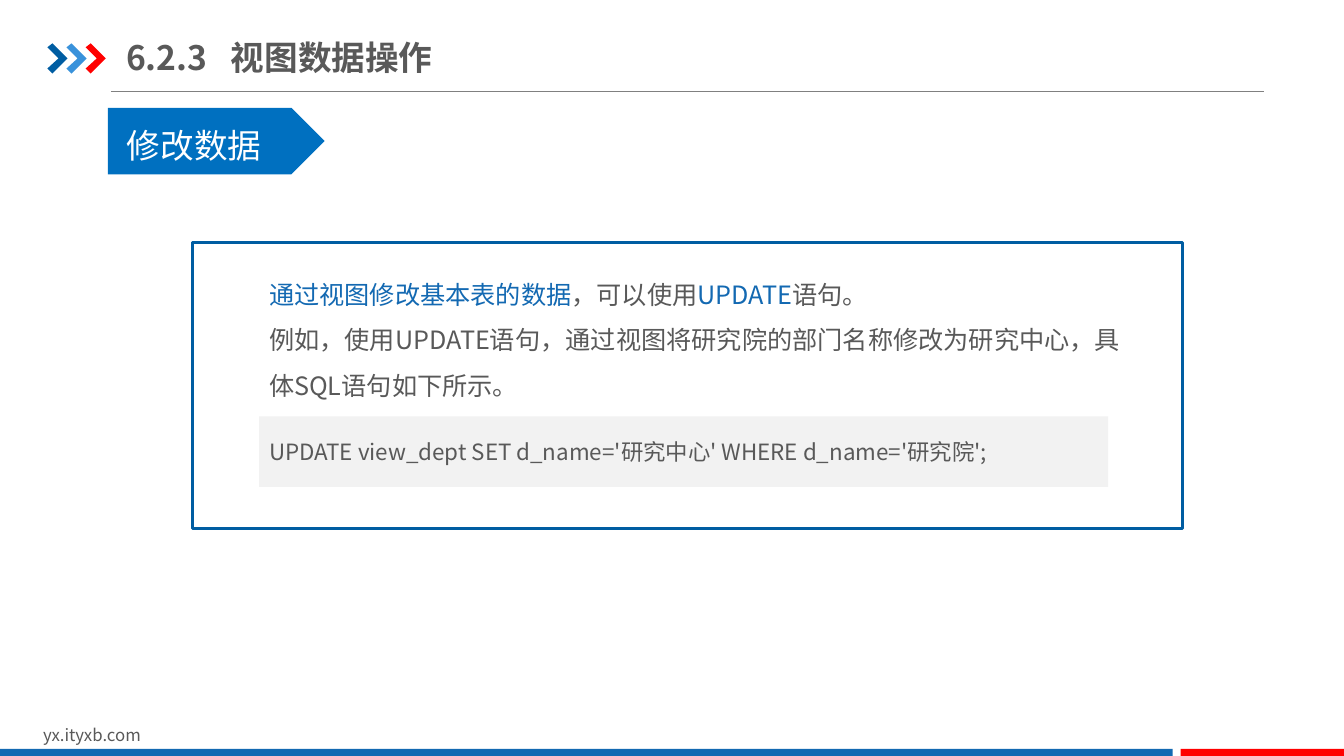
from lxml.etree import SubElement
from pptx import Presentation
from pptx.dml.color import RGBColor
from pptx.enum.shapes import MSO_CONNECTOR, MSO_SHAPE as SHAPE
from pptx.enum.text import MSO_ANCHOR as ANCHOR, MSO_AUTO_SIZE as AUTO, PP_ALIGN as ALIGN
from pptx.oxml.ns import qn
from pptx.util import Pt

PX = 9144
FONT = "Noto Sans CJK SC"
NAVY = RGBColor(0x00, 0x5D, 0xA2)
SKY = RGBColor(0x39, 0x92, 0xDB)
RED = RGBColor(0xFF, 0x00, 0x00)
BLUE = RGBColor(0x13, 0x69, 0xB2)
TAG_BLUE = RGBColor(0x00, 0x70, 0xC0)
TEXT = RGBColor(0x59, 0x59, 0x59)
RULE = RGBColor(0x80, 0x80, 0x80)
PALE = RGBColor(0xF2, 0xF2, 0xF2)
WHITE = RGBColor(0xFF, 0xFF, 0xFF)


def px(*lengths):
    """Turn pixel lengths into EMU."""
    return [n * PX for n in lengths]


def style(p, size, color, bold=False):
    """Format a whole paragraph, East Asian glyphs included."""
    p.alignment = ALIGN.LEFT
    f = p.font
    f.size, f.bold, f.name = Pt(size), bold, FONT
    f.color.rgb = color
    props = p._p.get_or_add_pPr().find(qn("a:defRPr"))
    SubElement(props, qn("a:ea"), typeface=FONT)


def paint(sp, fill, line=None):
    """Give a shape a flat fill and an optional 2 pt outline."""
    sp.shadow.inherit = False
    sp.fill.solid()
    sp.fill.fore_color.rgb = fill
    if line is None:
        sp.line.fill.background()
    else:
        sp.line.color.rgb = line
        sp.line.width = Pt(2)


def add_block(s, kind, box, fill, line=None):
    """Add a painted preset shape."""
    sp = s.shapes.add_shape(kind, *px(*box))
    paint(sp, fill, line)
    return sp


def add_text(s, box, paragraphs, size, color, spacing=None):
    """Add a wrapping text box; each paragraph is a list of (text, colour) runs."""
    tf = s.shapes.add_textbox(*px(*box)).text_frame
    tf.word_wrap = True
    for i, runs in enumerate(paragraphs):
        p = tf.add_paragraph() if i else tf.paragraphs[0]
        p.line_spacing = spacing
        style(p, size, color)
        for text, run_color in runs:
            r = p.add_run()
            r.text = text
            if run_color != color:
                r.font.color.rgb = run_color


def add_chevron(s, x, y, color):
    """Draw one arrow mark of 20 by 30 px."""
    outline = [(0, 4), (5, 0), (20, 15), (5, 30), (0, 25), (11, 15)]
    points = [(x + dx, y + dy) for dx, dy in outline]
    builder = s.shapes.build_freeform(*points[0], scale=PX)
    builder.add_line_segments(points[1:], close=True)
    paint(builder.convert_to_shape(), color)


def add_header(s, x, y, w, h):
    """Place the arrow marks, the title and the rule below them."""
    for i, color in enumerate((NAVY, SKY, RED)):
        add_chevron(s, x + 19 * i, y + 14, color)
    rule = s.shapes.add_connector(
        MSO_CONNECTOR.STRAIGHT, *px(x + 63, y + h, x + w, y + h))
    rule.line.color.rgb = RULE
    rule.line.width = Pt(0.75)
    SubElement(rule._element.spPr, qn("a:effectLst"))

    title = s.shapes.title
    title.left, title.top, title.width, title.height = px(x + 78, y, 464, 55)
    tf = title.text_frame
    tf.auto_size, tf.word_wrap = AUTO.NONE, True
    tf.vertical_anchor = ANCHOR.MIDDLE
    tf.margin_left = tf.margin_right = 0
    tf.text = "6.2.3\t视图数据操作"
    p = tf.paragraphs[0]
    tabs = SubElement(p._p.get_or_add_pPr(), qn("a:tabLst"))
    SubElement(tabs, qn("a:tab"), pos=str(104 * PX), algn="l")
    style(p, 24, TEXT, bold=True)


def add_tag(s, x, y, w, h):
    """Place the arrow-shaped section label."""
    add_block(s, SHAPE.PENTAGON, (x, y, w, h), TAG_BLUE)
    add_text(s, (x + 9, y - 8, w - 16, h + 5), [[("修改数据", WHITE)]], 24, WHITE, 1.5)


def add_panel(s, x, y, w, h):
    """Place the framed explanation with its SQL statement."""
    add_block(s, SHAPE.FLOWCHART_PROCESS, (x, y, w, h), WHITE, NAVY)
    add_text(s, (x + 66, y + 16, 865, 146), [
        [("通过视图修改基本表的数据", BLUE), ("，可以使用", TEXT),
         ("UPDATE", BLUE), ("语句。", TEXT)],
        [("例如，使用UPDATE语句，通过视图将研究院的部门名称修改为研究中心，"
          "具体SQL语句如下所示。", TEXT)],
    ], 18, TEXT, 1.5)
    code = add_block(s, SHAPE.RECTANGLE, (x + 66, y + 172, 842, 70), PALE)
    tf = code.text_frame
    tf.word_wrap = True
    tf.vertical_anchor = ANCHOR.MIDDLE
    tf.text = "UPDATE view_dept SET d_name='研究中心' WHERE d_name='研究院';"
    style(tf.paragraphs[0], 16, TEXT)


def add_footer(s, x, y, w, h):
    """Place the site address and the two-colour bar."""
    add_text(s, (x + 33, y - 29, 318, 30), [[("yx.ityxb.com", TEXT)]], 12, TEXT)
    add_block(s, SHAPE.RECTANGLE, (x, y, w - 170, h), BLUE)
    add_block(s, SHAPE.RECTANGLE, (x + w - 162, y, 162, h), RED)


def main():
    """Build the slide and save it."""
    prs = Presentation()
    prs.slide_width, prs.slide_height = px(1333, 750)
    s = prs.slides.add_slide(prs.slide_layouts[5])
    add_header(s, 47, 29, 1207, 62)
    add_footer(s, 0, 743, 1333, 7)
    add_panel(s, 191, 241, 982, 283)
    add_tag(s, 107, 107, 215, 66)
    prs.save("out.pptx")


if __name__ == "__main__":
    main()
